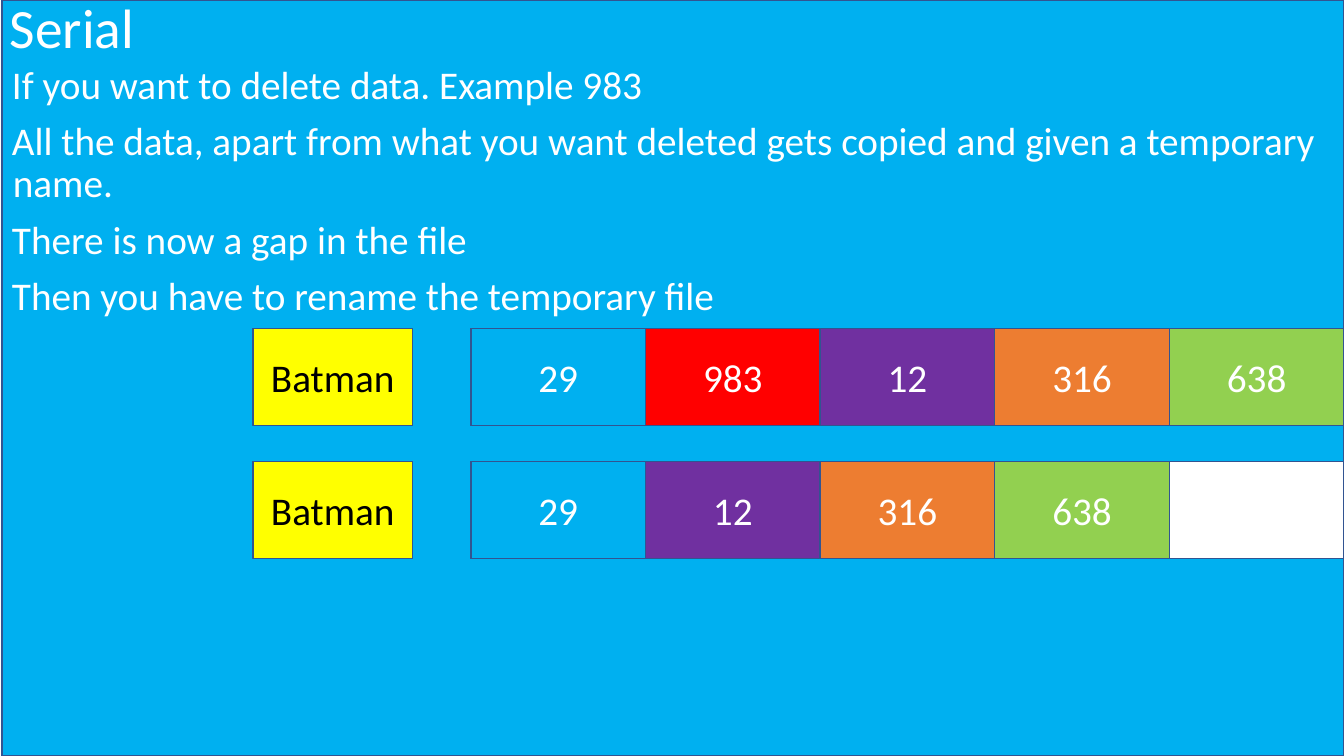
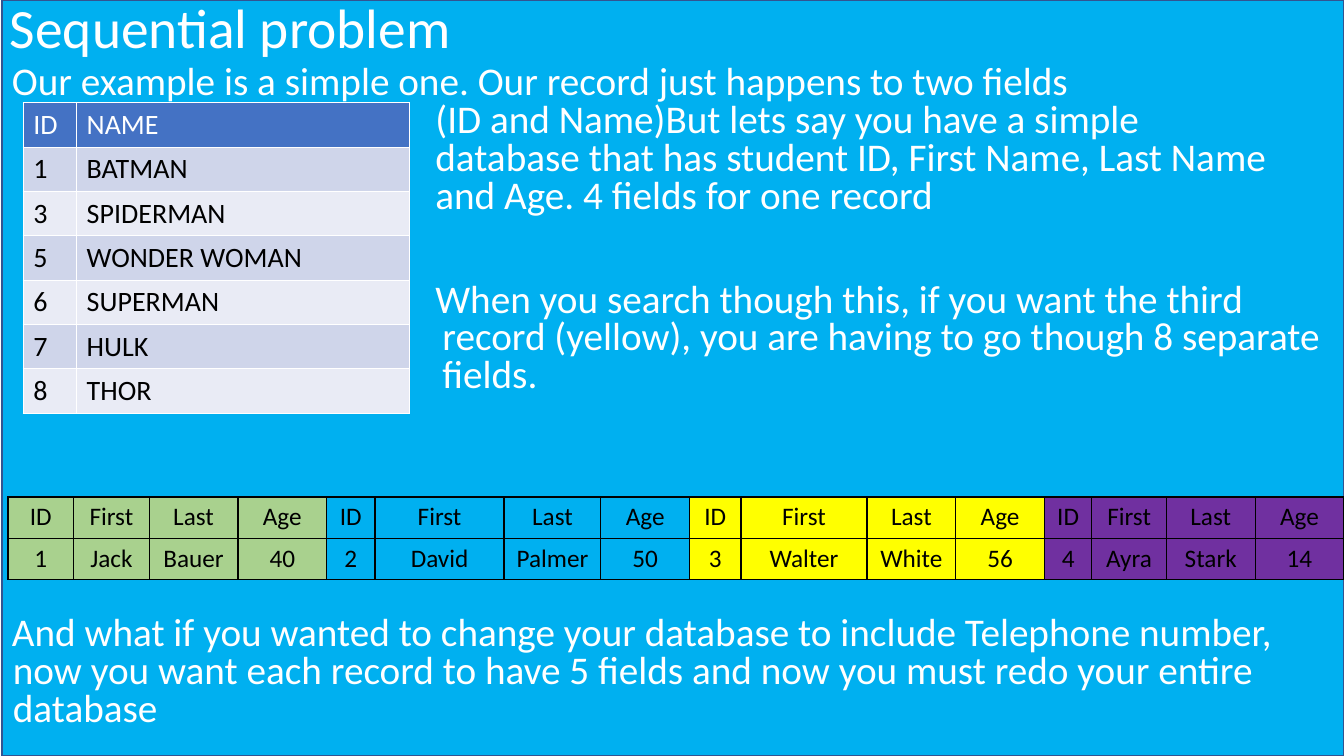
"""Build two slides on deleting from serial files and on sequential records."""
from dataclasses import dataclass

from lxml import etree
from pptx import Presentation
from pptx.dml.color import RGBColor
from pptx.enum.shapes import MSO_SHAPE as Shape
from pptx.enum.text import MSO_ANCHOR as Anchor, PP_ALIGN as Align
from pptx.oxml.ns import qn
from pptx.util import Inches, Pt


@dataclass(frozen=True)
class Theme:
    font: str = "Calibri"
    blue: str = "00B0F0"
    outline: str = "325491"
    white: str = "FFFFFF"
    black: str = "000000"
    red: str = "FF0000"
    purple: str = "7030A0"
    orange: str = "ED7D31"
    green: str = "92D050"
    sage: str = "A9D18E"
    yellow: str = "FFFF00"
    header: str = "4472C4"
    bands: tuple = ("CFD5EA", "E9EBF5")
    title_size: float = 39.6
    body_size: float = 28
    name_size: float = 20
    record_size: float = 18


THEME = Theme()
WIDTH, HEIGHT, PANEL_LEFT = 13.33, 7.5, 0.02
TITLE_HEIGHT = 0.6

SERIAL_TEXT = [
    "If you want to delete data. Example 983",
    "All the data, apart from what you want deleted gets copied and given a temporary name.",
    "There is now a gap in the file",
    "Then you have to rename the temporary file",
]
FILE_NAME = "Batman"
BLOCK_COLOURS = {"29": THEME.blue, "983": THEME.red, "12": THEME.purple,
                 "316": THEME.orange, "638": THEME.green}
FILE_ROWS = [
    (3.26, ["29", "983", "12", "316", "638"]),
    (4.58, ["29", "12", "316", "638"]),
]
FILE_LEFT, FILE_WIDTH, FILE_HEIGHT, FILE_SLOTS = 4.67, 8.66, 0.96, 5
LABEL_LEFT, LABEL_WIDTH = 2.51, 1.58

SEQUENTIAL_TEXT = [
    (0.02, 0.6, 0.38, 0.01,
     "Our example is a simple one. Our record just happens to two fields"),
    (4.22, 0.98, 1.25, 0,
     "(ID and Name)But lets say you have a simple\v"
     "database that has student ID, First Name, Last Name\v"
     "and Age. 4 fields for one record"),
    (4.22, 2.76, 1.25, 0.07,
     "When you search though this, if you want the third\v"
     "record (yellow), you are having to go though 8 separate\v"
     "fields."),
    (0.02, 6.07, 1.25, 0.01,
     "And what if you wanted to change your database to include Telephone number, "
     "now you want each record to have 5 fields and now you must redo your entire database"),
]
HEROES = [("ID", "NAME"), ("1", "BATMAN"), ("3", "SPIDERMAN"), ("5", "WONDER WOMAN"),
          ("6", "SUPERMAN"), ("7", "HULK"), ("8", "THOR")]
HERO_WIDTHS = [0.53, 3.3]
FIELDS = ["ID", "First", "Last", "Age"]
RECORDS = [
    (THEME.sage, ["1", "Jack", "Bauer", "40"], [0.65, 0.75, 0.88, 0.88]),
    (THEME.blue, ["2", "David", "Palmer", "50"], [0.48, 1.28, 0.96, 0.88]),
    (THEME.yellow, ["3", "Walter", "White", "56"], [0.51, 1.25, 0.88, 0.88]),
    (THEME.purple, ["4", "Ayra", "Stark", "14"], [0.47, 0.74, 0.88, 0.88]),
]


def rgb(colour):
    return RGBColor.from_string(colour)


def style_runs(paragraph, size, colour):
    for run in paragraph.runs:
        run.font.name = THEME.font
        run.font.size = Pt(size)
        run.font.bold = False
        run.font.color.rgb = rgb(colour)


def add_box(slide, left, top, width, height, fill, text="", colour=THEME.white):
    shape = slide.shapes.add_shape(
        Shape.RECTANGLE, Inches(left), Inches(top), Inches(width), Inches(height))
    shape.shadow.inherit = False
    shape.fill.solid()
    shape.fill.fore_color.rgb = rgb(fill)
    shape.line.color.rgb = rgb(THEME.outline)
    shape.line.width = Pt(1)
    if text:
        shape.text_frame.text = text
        shape.text_frame.vertical_anchor = Anchor.MIDDLE
        paragraph = shape.text_frame.paragraphs[0]
        paragraph.alignment = Align.CENTER
        style_runs(paragraph, THEME.body_size, colour)


def add_text(slide, left, top, height, lines, size=THEME.body_size,
             spacing=0.9, hanging=0, anchor=Anchor.TOP):
    box = slide.shapes.add_textbox(
        Inches(left), Inches(top), Inches(WIDTH - left), Inches(height))
    frame = box.text_frame
    frame.word_wrap = True
    frame.vertical_anchor = anchor
    frame.text = "\n".join(lines)
    for index, paragraph in enumerate(frame.paragraphs):
        paragraph.line_spacing = spacing
        paragraph.space_before = Pt(10 if index else 0)
        if hanging:
            properties = paragraph._p.get_or_add_pPr()
            properties.set("marL", str(Inches(hanging)))
            properties.set("indent", str(-Inches(hanging)))
        style_runs(paragraph, size, THEME.white)


def set_borders(cell, colour):
    properties = cell._tc.get_or_add_tcPr()
    for side in ("a:lnL", "a:lnR", "a:lnT", "a:lnB"):
        line = etree.SubElement(properties, qn(side), w=str(Pt(1)))
        fill = etree.SubElement(line, qn("a:solidFill"))
        etree.SubElement(fill, qn("a:srgbClr"), val=colour)


def add_grid(slide, left, top, widths, row_height, rows, size, border, align):
    """Add a table whose rows hold (text, fill, text colour) cells."""
    frame = slide.shapes.add_table(
        len(rows), len(widths), Inches(left), Inches(top),
        Inches(sum(widths)), Inches(row_height * len(rows)))
    table = frame.table
    table.first_row = table.horz_banding = False
    for column, width in zip(table.columns, widths):
        column.width = Inches(width)
    for row, contents in zip(table.rows, rows):
        row.height = Inches(row_height)
        for cell, (text, fill, colour) in zip(row.cells, contents):
            set_borders(cell, border)
            cell.fill.solid()
            cell.fill.fore_color.rgb = rgb(fill)
            cell.text_frame.text = text
            paragraph = cell.text_frame.paragraphs[0]
            paragraph.alignment = align
            style_runs(paragraph, size, colour)


def add_titled_slide(presentation, title):
    slide = presentation.slides.add_slide(presentation.slide_layouts[6])
    add_box(slide, PANEL_LEFT, 0, WIDTH - PANEL_LEFT, HEIGHT, THEME.blue)
    add_text(slide, 0, 0, TITLE_HEIGHT, [title], THEME.title_size, anchor=Anchor.MIDDLE)
    return slide


def build_serial(presentation):
    slide = add_titled_slide(presentation, "Serial")
    add_text(slide, PANEL_LEFT, TITLE_HEIGHT, 2.6, SERIAL_TEXT, hanging=0.01)
    slot = FILE_WIDTH / FILE_SLOTS
    for top, values in FILE_ROWS:
        add_box(slide, FILE_LEFT, top, FILE_WIDTH, FILE_HEIGHT, THEME.white)
        for index, value in enumerate(values):
            add_box(slide, FILE_LEFT + index * slot, top, slot, FILE_HEIGHT,
                    BLOCK_COLOURS[value], value)
        add_box(slide, LABEL_LEFT, top, LABEL_WIDTH, FILE_HEIGHT,
                THEME.yellow, FILE_NAME, THEME.black)


def build_sequential(presentation):
    slide = add_titled_slide(presentation, "Sequential problem")
    for left, top, height, hanging, text in SEQUENTIAL_TEXT:
        add_text(slide, left, top, height, [text], spacing=0.8, hanging=hanging)

    heroes = [[(text, THEME.header, THEME.white) for text in HEROES[0]]]
    for index, hero in enumerate(HEROES[1:]):
        heroes.append([(text, THEME.bands[index % 2], THEME.black) for text in hero])
    add_grid(slide, 0.23, 1.02, HERO_WIDTHS, 0.44, heroes,
             THEME.name_size, THEME.white, Align.LEFT)

    names = [(field, fill, THEME.black) for fill, _, _ in RECORDS for field in FIELDS]
    values = [(value, fill, THEME.black) for fill, record, _ in RECORDS for value in record]
    widths = [width for _, _, record_widths in RECORDS for width in record_widths]
    add_grid(slide, 0.08, 4.93, widths, 0.41, [names, values],
             THEME.record_size, THEME.black, Align.CENTER)


def main():
    presentation = Presentation()
    presentation.slide_width = Inches(WIDTH)
    presentation.slide_height = Inches(HEIGHT)
    build_serial(presentation)
    build_sequential(presentation)
    presentation.save("out.pptx")


if __name__ == "__main__":
    main()
